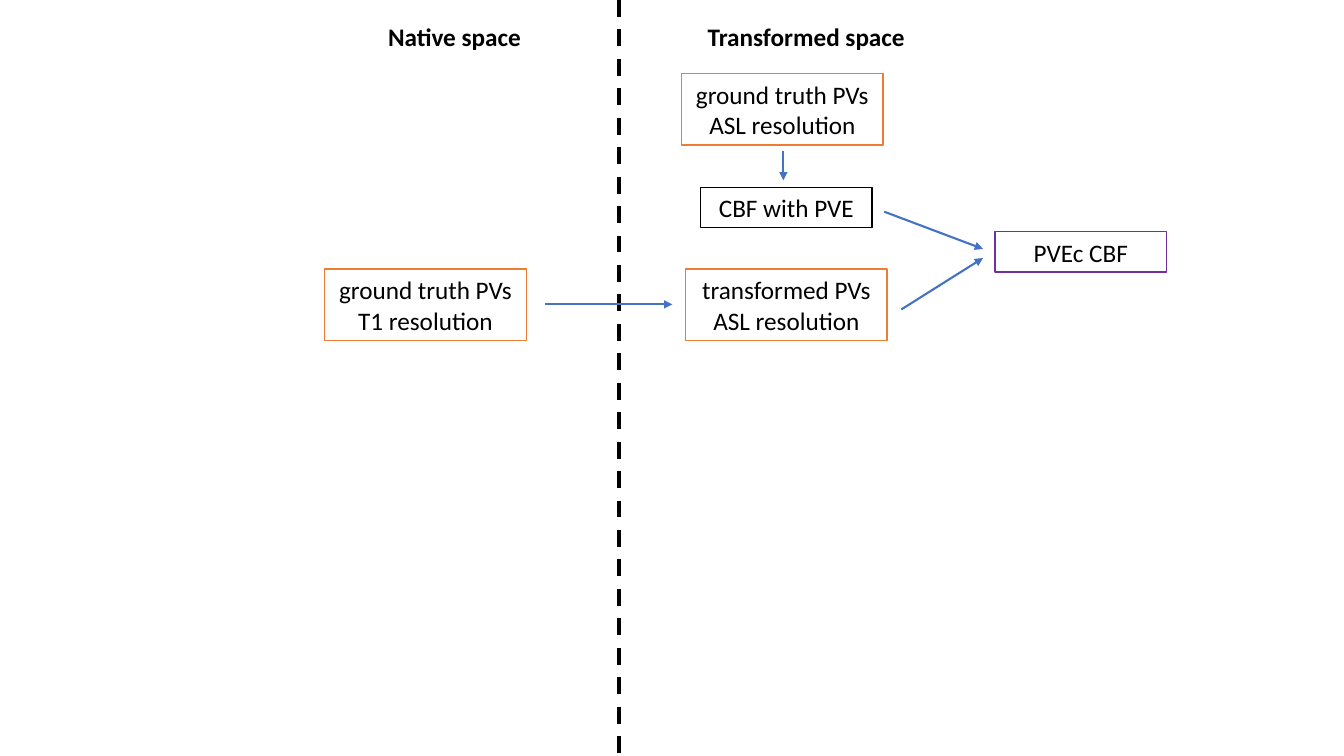
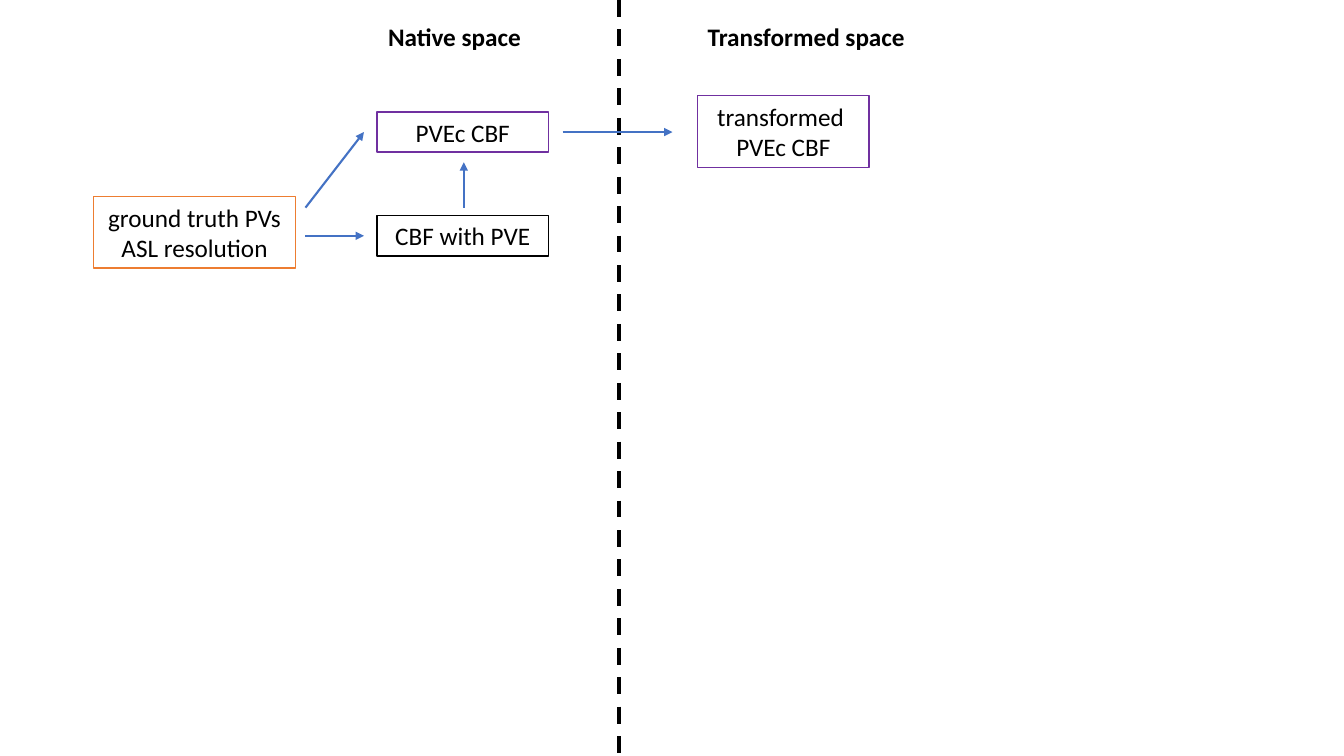
from pptx import Presentation
from pptx import util as u
from pptx.dml.color import RGBColor
from pptx.enum import dml, shapes, text
from pptx.oxml.ns import qn
from lxml import etree

BLACK, ORANGE, PURPLE, BLUE = "000000", "ED7D31", "7030A0", "4472C4"
WIDE, NARROW = 2.0, 1.7
LINE_HEIGHTS = {1: 0.4, 2: 0.71}


def rgb(value):
    return RGBColor.from_string(value)


class Diagram:
    """Holds the shared style and the current slide."""

    font, size = "Calibri", 18
    width, height, divider_x = 13.33, 7.5, 6.14

    def __init__(self):
        self.prs = Presentation()
        self.prs.slide_width = u.Inches(self.width)
        self.prs.slide_height = u.Inches(self.height)
        self.slide = None

    def new_slide(self):
        self.slide = self.prs.slides.add_slide(self.prs.slide_layouts[6])
        divider = self.line((self.divider_x, 0), (self.divider_x, self.height), BLACK, 3)
        divider.line.dash_style = dml.MSO_LINE.DASH
        self.heading("Native space", 3.75, 1.58)
        self.heading("Transformed space", 6.92, 2.19)

    def set_text(self, sp, content, align, bold=False):
        tf = sp.text_frame
        tf.word_wrap = True
        tf.auto_size = text.MSO_AUTO_SIZE.SHAPE_TO_FIT_TEXT
        tf.text = content
        for p in tf.paragraphs:
            p.alignment = align
            for r in p.runs:
                r.font.name = self.font
                r.font.size = u.Pt(self.size)
                r.font.bold = bold
                r.font.color.rgb = rgb(BLACK)

    def heading(self, content, left, width):
        sp = self.slide.shapes.add_textbox(
            u.Inches(left), u.Inches(0.16), u.Inches(width), u.Inches(LINE_HEIGHTS[1]))
        self.set_text(sp, content, text.PP_ALIGN.LEFT, bold=True)

    def box(self, content, left, top, width, color):
        height = LINE_HEIGHTS[len(content.split("\n"))]
        sp = self.slide.shapes.add_shape(
            shapes.MSO_SHAPE.RECTANGLE,
            u.Inches(left), u.Inches(top), u.Inches(width), u.Inches(height))
        sp.shadow.inherit = False
        sp.fill.background()
        sp.line.color.rgb = rgb(color)
        sp.line.width = u.Pt(1)
        self.set_text(sp, content, text.PP_ALIGN.CENTER)

    def line(self, start, end, color, weight):
        ends = [u.Inches(v) for v in (*start, *end)]
        sp = self.slide.shapes.add_connector(shapes.MSO_CONNECTOR.STRAIGHT, *ends)
        sp.line.color.rgb = rgb(color)
        sp.line.width = u.Pt(weight)
        etree.SubElement(sp._element.spPr, qn("a:effectLst"))
        return sp

    def arrow(self, start, end):
        sp = self.line(start, end, BLUE, 1.5)
        ln = sp._element.spPr.find(qn("a:ln"))
        etree.SubElement(ln, qn("a:tailEnd"), type="triangle")


def transform_volumes(d):
    d.new_slide()
    # Partial volumes and perfusion maps
    d.box("CBF with PVE", 6.95, 1.86, NARROW, BLACK)
    d.box("ground truth PVs\nT1 resolution", 3.22, 2.67, WIDE, ORANGE)
    d.box("PVEc CBF", 9.87, 2.3, NARROW, PURPLE)
    d.box("ground truth PVs\nASL resolution", 6.76, 0.73, WIDE, ORANGE)
    d.box("transformed PVs\nASL resolution", 6.8, 2.67, WIDE, ORANGE)
    # Flow
    d.arrow((8.94, 3.07), (9.75, 2.56))
    d.arrow((5.41, 3.02), (6.67, 3.02))
    d.arrow((7.77, 1.5), (7.77, 1.79))
    d.arrow((8.77, 2.1), (9.75, 2.47))


def transform_perfusion(d):
    d.new_slide()
    # Partial volumes and perfusion maps
    d.box("CBF with PVE", 3.74, 2.14, NARROW, BLACK)
    d.box("PVEc CBF", 3.74, 1.11, NARROW, PURPLE)
    d.box("ground truth PVs\nASL resolution", 0.93, 1.95, WIDE, ORANGE)
    d.box("transformed \nPVEc CBF", 6.92, 0.95, NARROW, PURPLE)
    # Flow
    d.arrow((3.03, 2.34), (3.61, 2.34))
    d.arrow((3.03, 2.06), (3.61, 1.31))
    d.arrow((4.6, 2.06), (4.6, 1.61))
    d.arrow((5.58, 1.31), (6.67, 1.31))


def main():
    d = Diagram()
    transform_volumes(d)
    transform_perfusion(d)
    d.prs.save("out.pptx")


if __name__ == "__main__":
    main()
